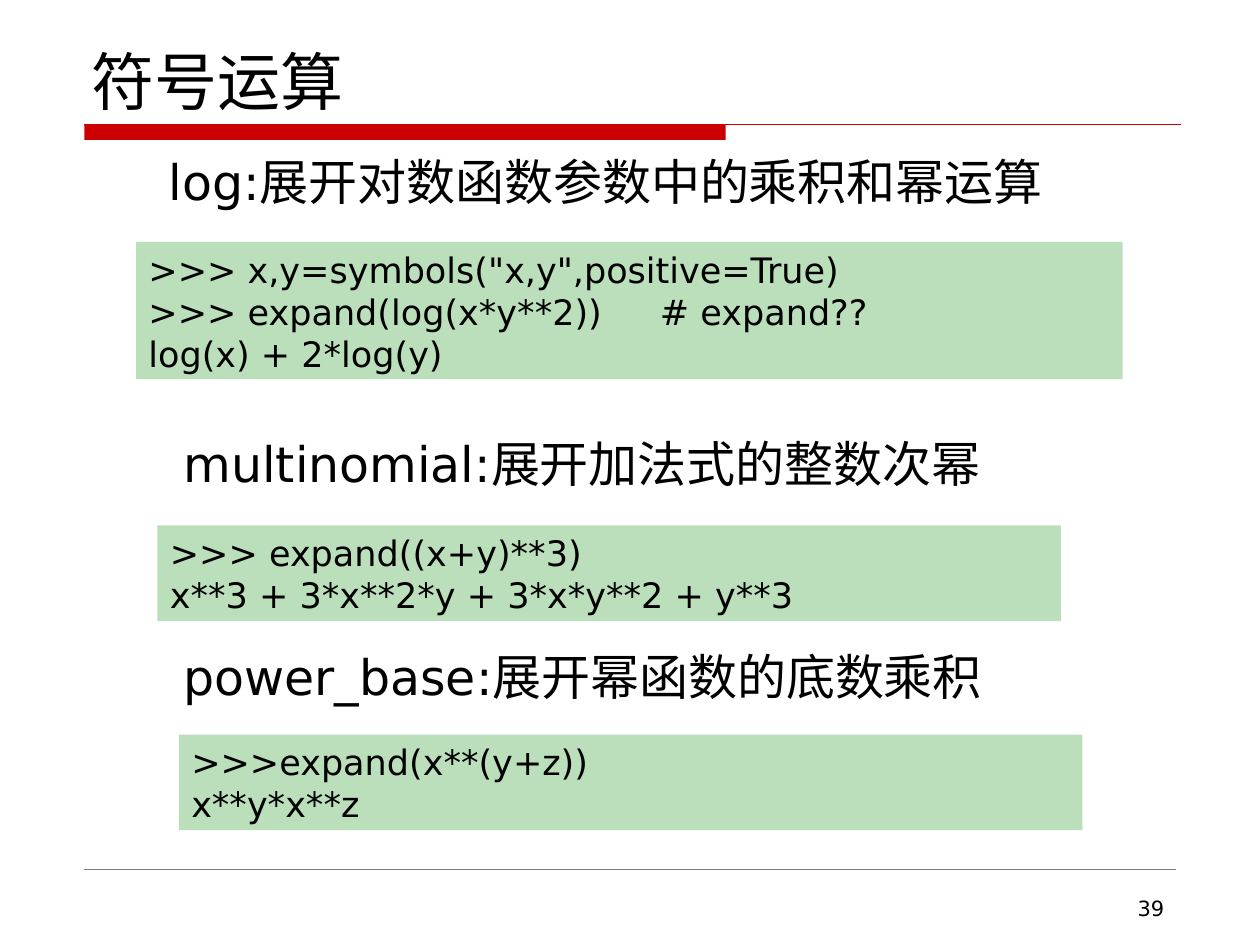
from pptx import Presentation
from pptx.dml.color import RGBColor
from pptx.enum.shapes import MSO_CONNECTOR, MSO_SHAPE
from pptx.enum.text import MSO_ANCHOR, MSO_AUTO_SIZE, PP_ALIGN
from pptx.oxml.ns import qn
from pptx.util import Inches, Pt
from lxml.etree import SubElement, Element

FONT = "DejaVu Sans"
COLORS = {"text": "000000", "accent": "CC0000", "code": "BBDFBB"}
TITLE = "符号运算"
PAGE = "39"
COMMENT_TAB = 4.06  # where a trailing comment starts, from the text's left edge
LINE_HEIGHT, PADDING = 0.33, 0.1

# heading, (left, top) of heading, code lines, (left, top, width) of code
SECTIONS = [
    ("log:展开对数函数参数中的乘积和幂运算", (1.24, 1.15),
     ['>>> x,y=symbols("x,y",positive=True)',
      ">>> expand(log(x*y**2))\t# expand??",
      "log(x) + 2*log(y)"], (1.08, 1.92, 7.83)),
    ("multinomial:展开加法式的整数次幂", (1.36, 3.39),
     [">>> expand((x+y)**3)",
      "x**3 + 3*x**2*y + 3*x*y**2 + y**3"], (1.25, 4.17, 7.17)),
    ("power_base:展开幂函数的底数乘积", (1.36, 5.08),
     [">>>expand(x**(y+z))",
      "x**y*x**z"], (1.42, 5.83, 7.17)),
]


def color(name):
    return RGBColor.from_string(COLORS[name])


def write(shape, lines, size, align=PP_ALIGN.LEFT, anchor=MSO_ANCHOR.TOP):
    frame = shape.text_frame
    frame.word_wrap = True
    frame.auto_size = MSO_AUTO_SIZE.NONE
    frame.vertical_anchor = anchor
    frame.text = "\n".join(lines)
    for paragraph in frame.paragraphs:
        paragraph.alignment = align
        paragraph.font.name = FONT
        paragraph.font.size = Pt(size)
        paragraph.font.color.rgb = color("text")
        if "\t" in paragraph.text:
            tabs = Element(qn("a:tabLst"))
            SubElement(tabs, qn("a:tab"), pos=str(Inches(COMMENT_TAB)), algn="l")
            paragraph.font  # paragraph properties exist from here on
            paragraph._p.pPr.insert(0, tabs)


def add_block(slide, box, fill):
    block = slide.shapes.add_shape(MSO_SHAPE.RECTANGLE, *map(Inches, box))
    block.shadow.inherit = False
    block.fill.solid()
    block.fill.fore_color.rgb = color(fill)
    block.line.fill.background()
    return block


def add_rule(slide, left, right, y, width, tint):
    rule = slide.shapes.add_connector(
        MSO_CONNECTOR.STRAIGHT, *map(Inches, (left, y, right, y)))
    rule.line.width = Pt(width)
    rule.line.color.rgb = tint
    SubElement(rule._element.spPr, qn("a:effectLst"))


def main():
    deck = Presentation()
    deck.slide_width, deck.slide_height = Inches(10), Inches(7.5)
    slide = deck.slides.add_slide(deck.slide_layouts[5])

    add_block(slide, (0.67, 0.99, 5.09, 0.12), "accent")
    add_rule(slide, 0.67, 9.37, 0.99, 0.75, color("accent"))
    add_rule(slide, 0.67, 9.33, 6.9, 0.25, RGBColor.from_string("808080"))

    title = slide.shapes.title
    title.left, title.top, title.width, title.height = map(
        Inches, (0.63, 0.33, 8.75, 0.66))
    write(title, [TITLE], 36, anchor=MSO_ANCHOR.BOTTOM)

    for heading, (left, top), code, (code_left, code_top, code_width) in SECTIONS:
        label = slide.shapes.add_textbox(
            *map(Inches, (left, top, 9.37 - left, 0.65)))
        write(label, [heading], 28)
        height = PADDING + LINE_HEIGHT * len(code)
        block = add_block(slide, (code_left, code_top, code_width, height), "code")
        write(block, code, 20)

    number = slide.shapes.add_textbox(*map(Inches, (7.17, 7.06, 2.17, 0.29)))
    write(number, [PAGE], 12, PP_ALIGN.RIGHT)

    deck.save("out.pptx")


if __name__ == "__main__":
    main()
